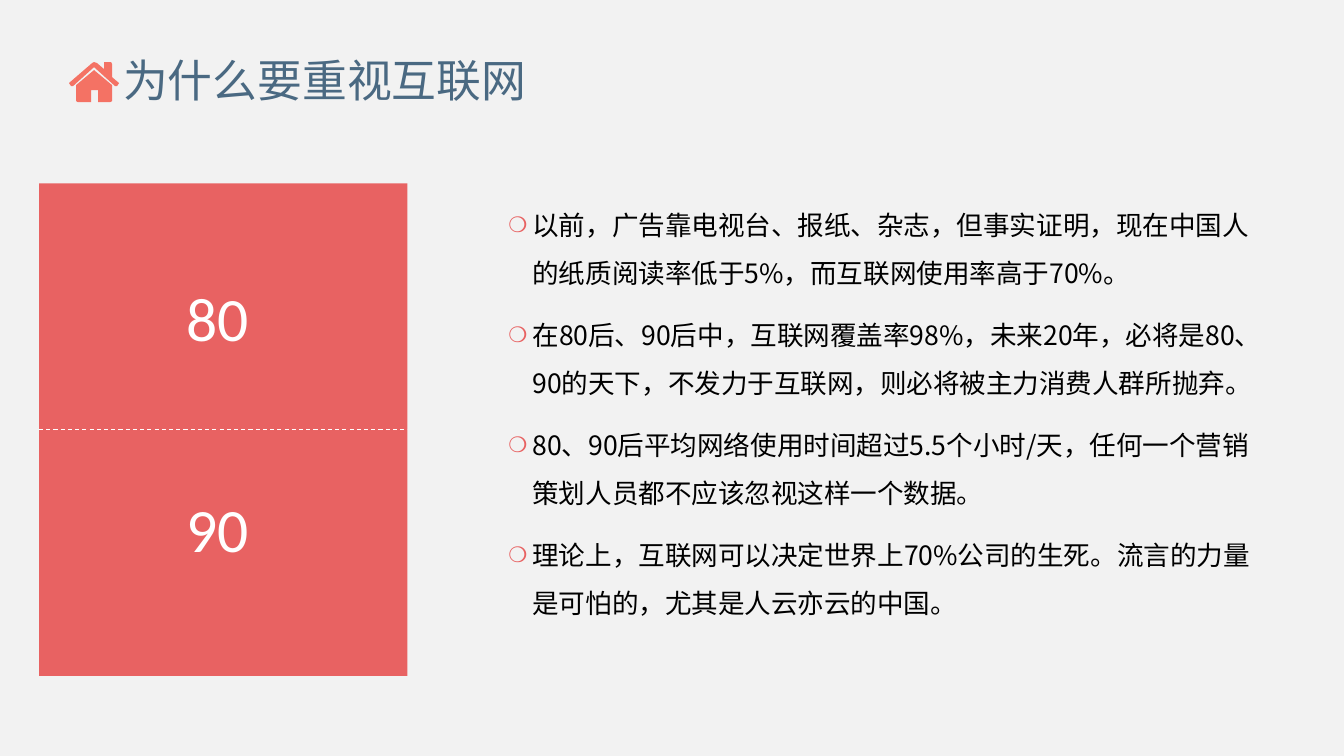
from dataclasses import dataclass
from lxml.etree import SubElement
from pptx import Presentation
from pptx.dml.color import RGBColor as RGB
from pptx.enum.dml import MSO_LINE
from pptx.enum.text import MSO_ANCHOR as ANCHOR, MSO_AUTO_SIZE as AUTO, PP_ALIGN as ALIGN
from pptx.oxml.ns import qn
from pptx.util import Pt

# Content
TITLE = "为什么要重视互联网"
GENERATIONS = ["80", "90"]
POINTS = [
    "以前，广告靠电视台、报纸、杂志，但事实证明，现在中国人的纸质阅读率低于5%，而互联网使用率高于70%。",
    "在80后、90后中，互联网覆盖率98%，未来20年，必将是80、90的天下，不发力于互联网，则必将被主力消费人群所抛弃。",
    "80、90后平均网络使用时间超过5.5个小时/天，任何一个营销策划人员都不应该忽视这样一个数据。",
    "理论上，互联网可以决定世界上70%公司的生死。流言的力量是可怕的，尤其是人云亦云的中国。",
]
ROOF = [(117, 86), (115, 86), (94, 67), (73, 86), (71, 86), (69, 83), (70, 82), (92, 63),
        (94, 62), (97, 63), (104, 69), (104, 62), (111, 62), (112, 64), (112, 77), (119, 83)]
WALLS = [(112, 101), (110, 102), (98, 102), (98, 90), (91, 90), (91, 102),
         (78, 102), (76, 101), (76, 85), (94, 70), (112, 85)]


@dataclass(frozen=True)
class Theme:
    page: str = "F2F2F2"
    panel: str = "E86262"
    house: str = "F47264"
    title: str = "4A6982"
    body: str = "000000"
    white: str = "FFFFFF"
    cjk: str = "Noto Sans CJK SC"
    title_size: int = 32
    number_size: int = 44
    body_size: int = 19


T = Theme()
PX = 9080  # EMU per px
PANEL = (39, 183, 368, 492)
NUMBER_BOX = (176, 275, 116, 85)
NUMBER_STEP = 210
BULLET_INDENT = 24


def px(*lengths):
    return [n * PX for n in lengths]


def place(shape, box):
    for name, value in zip(("left", "top", "width", "height"), px(*box)):
        setattr(shape, name, value)


def setup(tf, **formats):
    base = dict(word_wrap=True, auto_size=AUTO.NONE, vertical_anchor=ANCHOR.TOP)
    for name, value in {**base, **formats}.items():
        setattr(tf, name, value)


def write(p, text, size, color, font, **formats):
    r = p.add_run()
    r.text = text
    for name, value in dict(size=Pt(size), name=font, bold=False).items():
        setattr(r.font, name, value)
    r.font.color.rgb = RGB.from_string(color)
    SubElement(r.font._element, qn("a:ea"), typeface=T.cjk)
    for name, value in dict(alignment=ALIGN.LEFT, **formats).items():
        setattr(p, name, value)


def add_bullet(p):
    pPr = p._p.get_or_add_pPr()
    pPr.set("marL", str(BULLET_INDENT * PX))
    pPr.set("indent", str(-BULLET_INDENT * PX))
    color = SubElement(pPr, qn("a:buClr"))
    SubElement(color, qn("a:srgbClr"), val=T.panel)
    SubElement(pPr, qn("a:buSzPct"), val="80000")
    SubElement(pPr, qn("a:buChar"), char="❍")


def paint(shape, color):
    shape.shadow.inherit = False
    shape.fill.solid()
    shape.fill.fore_color.rgb = RGB.from_string(color)
    shape.line.fill.background()


# Slide
prs = Presentation()
prs.slide_width, prs.slide_height = px(1343, 755)
s = prs.slides.add_slide(prs.slide_layouts[1])
s.background.fill.solid()
s.background.fill.fore_color.rgb = RGB.from_string(T.page)
title, body = s.placeholders

# Title
place(title, (113, 43, 1138, 80))
setup(title.text_frame, vertical_anchor=ANCHOR.MIDDLE)
write(title.text_frame.paragraphs[0], TITLE, T.title_size, T.title, "Arial", line_spacing=0.9)

# Red panel with dashed divider
x, y, w, h = PANEL
paint(s.shapes.add_shape(1, *px(*PANEL)), T.panel)
middle = y + h // 2
divider = s.shapes.add_connector(1, *px(x, middle, x + w, middle))
divider.line.color.rgb = RGB.from_string(T.white)
divider.line.width = Pt(0.75)
divider.line.dash_style = MSO_LINE.DASH
SubElement(divider._element.spPr, qn("a:effectLst"))

# Generation numbers
nx, ny, nw, nh = NUMBER_BOX
for i, number in enumerate(GENERATIONS):
    tf = s.shapes.add_textbox(*px(nx, ny + i * NUMBER_STEP, nw, nh)).text_frame
    setup(tf)
    write(tf.paragraphs[0], number, T.number_size, T.white, "Calibri")

# Bulleted points
place(body, (498, 188, 777, 487))
tf = body.text_frame
setup(tf)
for i, point in enumerate(POINTS):
    p = tf.add_paragraph() if i else tf.paragraphs[0]
    add_bullet(p)
    write(p, point, T.body_size, T.body, T.cjk,
          line_spacing=Pt(34.25), space_before=Pt(10 if i else 0))

# House icon
house = s.shapes.build_freeform(*ROOF[0], scale=PX)
house.add_line_segments(ROOF[1:], close=True)
house.move_to(*WALLS[0])
house.add_line_segments(WALLS[1:], close=True)
paint(house.convert_to_shape(), T.house)

prs.save("out.pptx")
